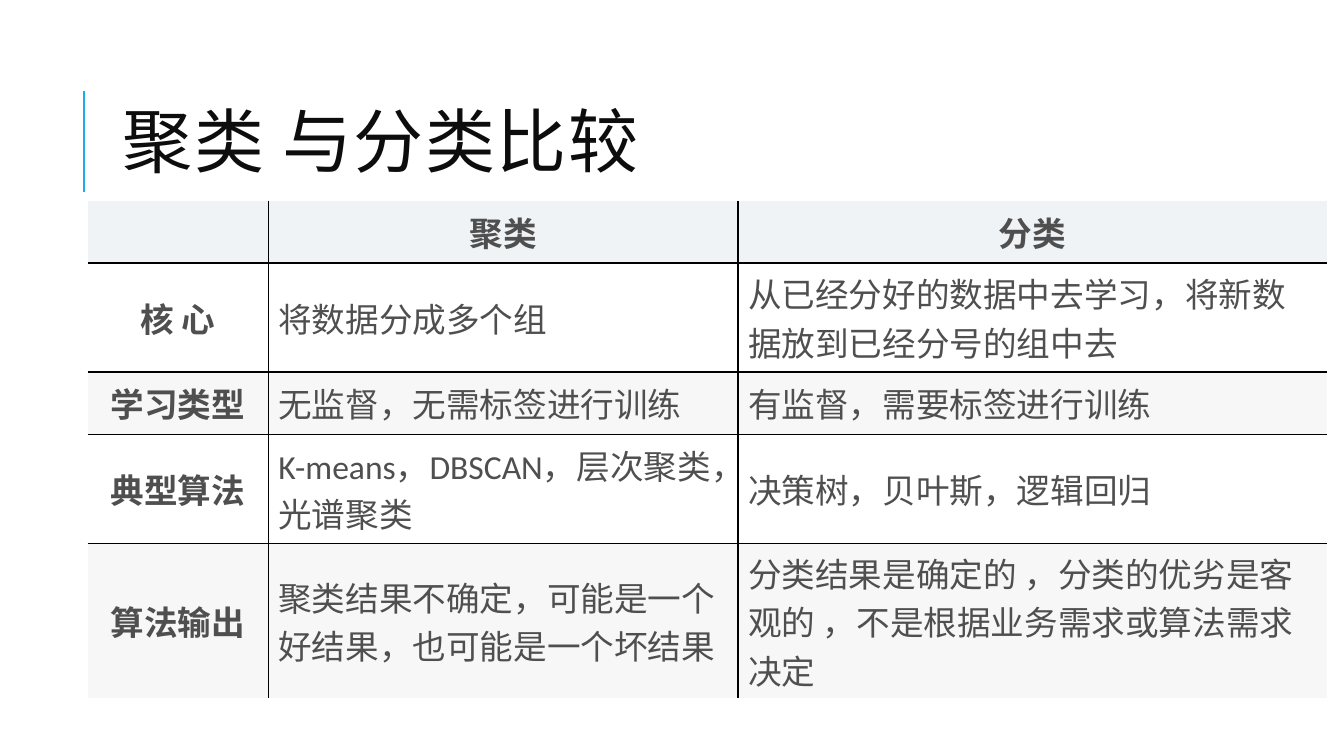
from lxml import etree
from pptx import Presentation
from pptx.dml.color import RGBColor
from pptx.enum.shapes import MSO_CONNECTOR
from pptx.enum.text import MSO_ANCHOR, PP_ALIGN
from pptx.oxml.ns import qn
from pptx.util import Inches, Pt

MIDDLE = MSO_ANCHOR.MIDDLE
LEFT, CENTER = PP_ALIGN.LEFT, PP_ALIGN.CENTER

# Content
TITLE = "聚类 与分类比较"
ROWS = [
    ("", "聚类", "分类"),
    ("核 心", "将数据分成多个组",
     "从已经分好的数据中去学习，将新数据放到已经分号的组中去"),
    ("学习类型", "无监督，无需标签进行训练", "有监督，需要标签进行训练"),
    ("典型算法", "K-means，DBSCAN，层次聚类，光谱聚类", "决策树，贝叶斯，逻辑回归"),
    ("算法输出", "聚类结果不确定，可能是一个好结果，也可能是一个坏结果",
     "分类结果是确定的 ，分类的优劣是客观的 ，不是根据业务需求或算法需求决定"),
]

# Layout in inches, and formats
SLIDE = (13.33, 7.5)
ACCENT = (0.83, 0.9, 1.9)
TITLE_BOX = (1.12, 0.64, 10.63, 1.64)
TABLE_AT = (0.87, 1.99)
COLS = (1.79, 4.66, 5.84)
HEIGHTS = (0.62, 1.08, 0.62, 1.08, 1.54)
COLORS = {"accent": "1CADE4", "title": "0D0D0D", "text": "4F4F4F", "grid": "000000",
          "head": "EFF3F5", "odd": "FFFFFF", "even": "F7F7F7"}
TITLE_FONT = {"name": "Calibri", "size": Pt(50)}
CELL_FONT = {"name": "Calibri", "size": Pt(24)}


def rgb(name):
    return RGBColor.from_string(COLORS[name])


def add_text(p, text, font, color, **extra):
    r = p.add_run()
    r.text = text
    for key, value in {**font, **extra}.items():
        setattr(r.font, key, value)
    r.font.color.rgb = rgb(color)
    return r


def set_borders(cell, inner):
    """Draw the sides that lie inside the table; clear the outer ones."""
    tcPr = cell._tc.get_or_add_tcPr()
    for i, (side, shown) in enumerate(inner.items()):
        ln = etree.Element(qn("a:ln" + side), w=str(Pt(1)))
        if shown:
            fill = etree.SubElement(ln, qn("a:solidFill"))
            etree.SubElement(fill, qn("a:srgbClr"), val=COLORS["grid"])
        else:
            etree.SubElement(ln, qn("a:noFill"))
        tcPr.insert(i, ln)


prs = Presentation()
prs.slide_width, prs.slide_height = map(Inches, SLIDE)
s = prs.slides.add_slide(prs.slide_layouts[6])

# Accent line beside the title
x, top, bottom = map(Inches, ACCENT)
line = s.shapes.add_connector(MSO_CONNECTOR.STRAIGHT, x, bottom, x, top)
line.line.color.rgb = rgb("accent")
line.line.width = Pt(1.5)
etree.SubElement(line._element.spPr, qn("a:effectLst"))

# Title
tf = s.shapes.add_textbox(*map(Inches, TITLE_BOX)).text_frame
tf.word_wrap = True
tf.vertical_anchor = MIDDLE
p = tf.paragraphs[0]
p.line_spacing = 0.8
r = add_text(p, TITLE, TITLE_FONT, "title")
r._r.get_or_add_rPr().set("spc", "100")

# Comparison table
size = (sum(COLS), sum(HEIGHTS))
table = s.shapes.add_table(len(ROWS), len(COLS), *map(Inches, TABLE_AT + size)).table
for column, width in zip(table.columns, COLS):
    column.width = Inches(width)
for row, height in zip(table.rows, HEIGHTS):
    row.height = Inches(height)

for i, texts in enumerate(ROWS):
    band = "head" if i == 0 else "odd" if i % 2 else "even"
    for j, text in enumerate(texts):
        cell = table.cell(i, j)
        heading = i == 0 or j == 0
        cell.fill.solid()
        cell.fill.fore_color.rgb = rgb(band)
        cell.vertical_anchor = MIDDLE
        set_borders(cell, {"L": j > 0, "R": j < len(COLS) - 1,
                           "T": i > 0, "B": i < len(ROWS) - 1})
        p = cell.text_frame.paragraphs[0]
        p.alignment = CENTER if heading else LEFT
        if text:
            add_text(p, text, CELL_FONT, "text", bold=heading)

prs.save("out.pptx")
